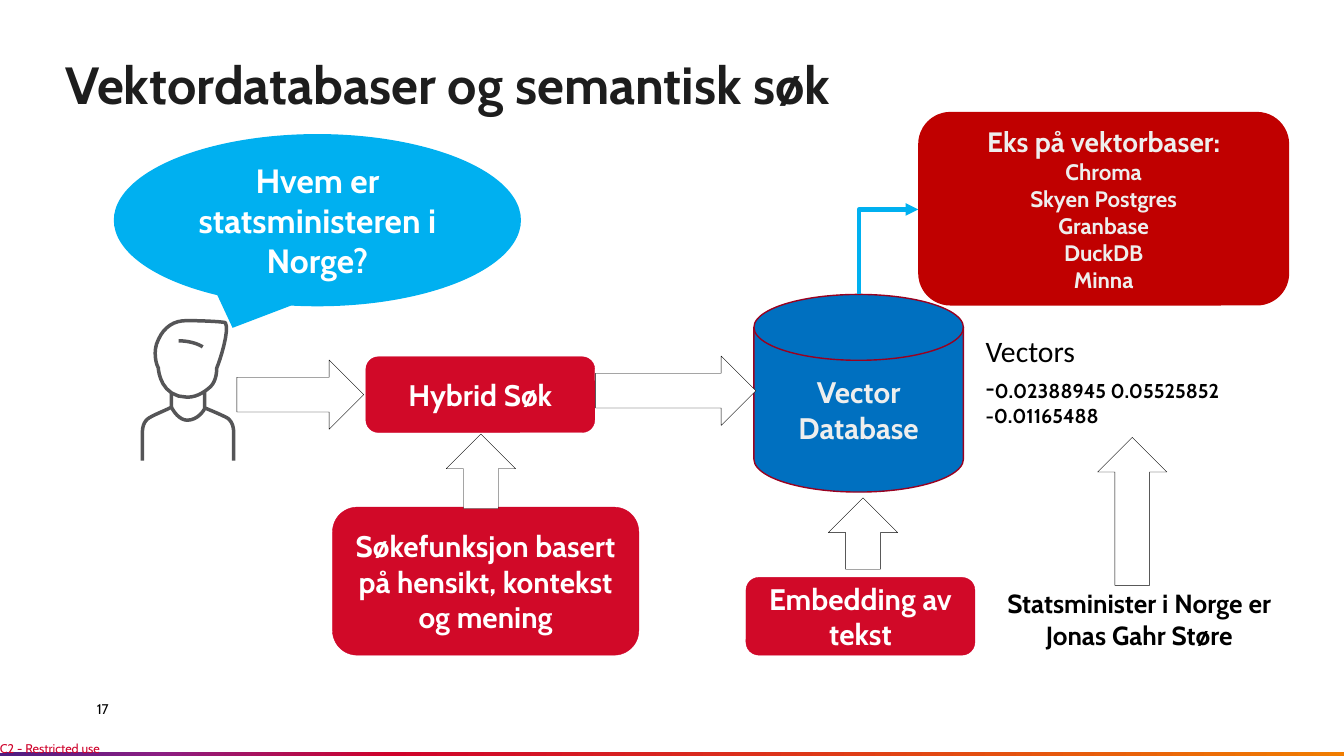
"""Build the slide on vector databases and semantic search."""
from copy import deepcopy
from dataclasses import dataclass

from lxml.etree import SubElement
from pptx import Presentation
from pptx.dml.color import RGBColor
from pptx.enum.shapes import MSO_CONNECTOR, MSO_SHAPE
from pptx.enum.text import MSO_ANCHOR, PP_ALIGN
from pptx.oxml.ns import qn
from pptx.util import Cm, Pt


@dataclass(frozen=True)
class Theme:
    font: str = "Cabin"
    plain_font: str = "Calibri"
    ink: str = "1D1D1D"
    black: str = "000000"
    white: str = "FFFFFF"
    pale: str = "EEEEED"
    red: str = "D10928"
    red_edge: str = "CF022B"
    dark_red: str = "C00000"
    disk: str = "0070C0"
    disk_edge: str = "990120"
    sky: str = "00B0F0"
    person: str = "555557"
    title: float = 37.3
    bubble: float = 24
    box: float = 21.2
    heading: float = 20
    fact: float = 18.7
    item: float = 16
    vector: float = 14.3
    number: float = 10
    footer: float = 9


T = Theme()
BAR_STOPS = [(0, "4D1D82"), (0.12, "8B1D82"), (0.29, T.red_edge), (1, "F07D00")]

RED_BOXES = [
    ("Hybrid Søk", (9.22, 8.99, 5.77, 1.91)),
    ("Embedding av tekst", (18.8, 14.55, 5.77, 1.96)),
    ("Søkefunksjon basert på hensikt, kontekst og mening", (8.38, 12.78, 7.72, 3.73)),
]
ARROWS = [
    ((5.97, 9.07, 3.2, 1.75), 0),
    ((15.01, 8.97, 4.04, 1.75), 0),
    ((11.18, 11, 1.88, 1.75), 270),
    ((20.85, 12.57, 1.8, 1.75), 270),
    ((26.67, 12.01, 3.73, 1.75), 270),
]
DATABASES = ["Chroma", "Skyen Postgres", "Granbase", "DuckDB", "Minna"]
VECTORS = [
    [("Vectors", T.box, T.plain_font, False)],
    [("-", T.box, T.plain_font, False), ("0.02388945 0.05525852", T.vector, T.font, True)],
    [("-0.01165488", T.vector, T.font, True)],
]
PERSON = {
    "head": [(4.72, 10.01), (4.06, 10.01), (3.99, 9.35), (3.99, 9.27), (3.94, 9.19),
             (3.84, 8.86), (3.99, 8.56), (4.14, 8.23), (4.39, 8.08), (4.7, 8.08),
             (4.98, 8.08), (5.56, 8.1), (5.68, 8.13), (5.79, 8.33), (5.54, 9.09),
             (5.46, 9.28), (5.46, 9.35), (5.46, 9.58), (5.31, 9.74), (5.21, 9.83),
             (5, 10.01), (4.72, 10.01)],
    "fringe": [(4.5, 8.59), (4.6, 8.59), (4.88, 8.6), (5.11, 8.74)],
    "neck": [(4.32, 10.26), (4.37, 10.36), (4.52, 10.59), (4.72, 10.59), (5, 10.59),
             (5.16, 10.31), (5.16, 10.29), (5.16, 10.15), (5.16, 10), (5.16, 9.88)],
    "left shoulder": [(3.59, 11.61), (3.59, 11.5), (3.59, 11.1), (3.59, 10.9), (3.59, 10.8),
                      (3.61, 10.62), (3.76, 10.53), (3.91, 10.44), (4.2, 10.33),
                      (4.32, 10.26), (4.32, 10.15), (4.32, 10), (4.32, 9.91)],
    "right shoulder": [(5.89, 11.61), (5.89, 11.3), (5.89, 11.2), (5.89, 10.9), (5.89, 10.8),
                       (5.87, 10.64), (5.74, 10.54), (5.56, 10.44), (5.3, 10.34),
                       (5.14, 10.27)],
}


def rgb(color):
    return RGBColor.from_string(color)


def line(text, size, bold=True):
    return [(text, size, T.font, bold)]


def write(sp, lines, color, align=PP_ALIGN.CENTER, anchor=MSO_ANCHOR.MIDDLE, inset=True):
    tf = sp.text_frame
    tf.word_wrap = True
    tf.vertical_anchor = anchor
    if not inset:
        tf.margin_left = tf.margin_right = tf.margin_top = tf.margin_bottom = 0
    for i, runs in enumerate(lines):
        p = tf.add_paragraph() if i else tf.paragraphs[0]
        p.alignment = align
        for text, size, font, bold in runs:
            r = p.add_run()
            r.text = text
            r.font.size = Pt(size)
            r.font.name = font
            r.font.bold = bold
            r.font.color.rgb = rgb(color)
    return tf


def add_text(s, at, lines, color, **layout):
    return write(s.shapes.add_textbox(*map(Cm, at)), lines, color, **layout)


def add_block(s, kind, at, fill, edge=None, width=0.25):
    sp = s.shapes.add_shape(kind, *map(Cm, at))
    sp.shadow.inherit = False
    sp.fill.solid()
    sp.fill.fore_color.rgb = rgb(fill)
    if edge:
        sp.line.color.rgb = rgb(edge)
        sp.line.width = Pt(width)
    else:
        sp.line.fill.background()
    return sp


def add_bar(s):
    sp = add_block(s, MSO_SHAPE.RECTANGLE, (0, 18.97, 33.87, 0.13), T.red_edge)
    sp.fill.gradient()
    sp.fill.gradient_angle = 350
    stops = sp._element.spPr.find(qn("a:gradFill")).find(qn("a:gsLst"))
    for _ in BAR_STOPS[2:]:
        stops.append(deepcopy(stops[0]))
    for stop, (position, color) in zip(sp.fill.gradient_stops, BAR_STOPS):
        stop.position = position
        stop.color.rgb = rgb(color)


def curve(points, steps=8):
    path = [points[0]]
    for i in range(0, len(points) - 1, 3):
        a, b, c, d = points[i:i + 4]
        for t in (n / steps for n in range(1, steps + 1)):
            u = 1 - t
            path.append(tuple(
                u**3 * a[k] + 3 * u * u * t * b[k] + 3 * u * t * t * c[k] + t**3 * d[k]
                for k in (0, 1)))
    return path


def add_person(s):
    for points in PERSON.values():
        path = [(Cm(x), Cm(y)) for x, y in curve(points)]
        fb = s.shapes.build_freeform(*path[0])
        fb.add_line_segments(path[1:], close=path[0] == path[-1])
        sp = fb.convert_to_shape()
        sp.shadow.inherit = False
        sp.fill.background()
        sp.line.color.rgb = rgb(T.person)
        sp.line.width = Pt(2.5)


def add_elbow(s, start, end):
    dx, dy = end[0] - start[0], start[1] - end[1]
    cx, cy = (start[0] + end[0]) / 2, (start[1] + end[1]) / 2
    corners = (cx + dy / 2, cy + dx / 2, cx - dy / 2, cy - dx / 2)
    cn = s.shapes.add_connector(MSO_CONNECTOR.ELBOW, *map(Cm, corners))
    cn.line.color.rgb = rgb(T.sky)
    cn.line.width = Pt(3)
    pr = cn._element.spPr
    pr.find(qn("a:xfrm")).set("rot", str(90 * 60000))
    pr.find(qn("a:prstGeom")).set("prst", "bentConnector2")
    SubElement(pr.find(qn("a:ln")), qn("a:tailEnd"), type="triangle")
    SubElement(pr, qn("a:effectLst"))


def main():
    prs = Presentation()
    prs.slide_width, prs.slide_height = Cm(33.87), Cm(19.05)
    s = prs.slides.add_slide(prs.slide_layouts[6])
    add_bar(s)
    left, top = PP_ALIGN.LEFT, MSO_ANCHOR.TOP
    add_text(s, (2.44, 17.65, 3.89, 0.43), [line("17", T.number, False)], T.black,
             align=left, inset=False)
    add_text(s, (0, 18.67, 2.87, 0.38), [line("C2 - Restricted use", T.footer, False)],
             T.red_edge, align=left, anchor=top, inset=False)
    tf = add_text(s, (1.4, 0.66, 31.06, 2.39),
                  [line("Vektordatabaser og semantisk søk", T.title)], T.ink,
                  align=left, anchor=MSO_ANCHOR.BOTTOM)
    tf.paragraphs[0].line_spacing = 0.9

    sp = add_block(s, MSO_SHAPE.FLOWCHART_MAGNETIC_DISK, (19, 7.42, 5.28, 4.98),
                   T.disk, T.disk_edge, 1)
    write(sp, [line("Vector Database", T.box)], T.pale)
    sp = add_block(s, MSO_SHAPE.OVAL_CALLOUT, (2.87, 3.38, 10.26, 4.34), T.sky)
    write(sp, [line("Hvem er statsministeren i Norge?", T.bubble)], T.white)
    for text, at in RED_BOXES:
        sp = add_block(s, MSO_SHAPE.ROUNDED_RECTANGLE, at, T.red, T.red_edge)
        write(sp, [line(text, T.box)], T.white)
    for at, turn in ARROWS:
        add_block(s, MSO_SHAPE.RIGHT_ARROW, at, T.white, T.black).rotation = turn
    add_text(s, (20.24, 14.68, 16.94, 1.85),
             [line("Statsminister i Norge er", T.fact), line("Jonas Gahr Støre", T.fact)],
             T.black, anchor=top)
    add_text(s, (24.59, 8.26, 18.59, 2.67), VECTORS, T.black, align=left, anchor=top)
    sp = add_block(s, MSO_SHAPE.ROUNDED_RECTANGLE, (23.14, 2.82, 9.35, 4.88), T.dark_red)
    write(sp, [line("Eks på vektorbaser:", T.heading)]
          + [line(name, T.item) for name in DATABASES], T.pale)
    add_elbow(s, (21.64, 7.42), (23.14, 5.28))
    add_person(s)
    prs.save("out.pptx")


if __name__ == "__main__":
    main()
